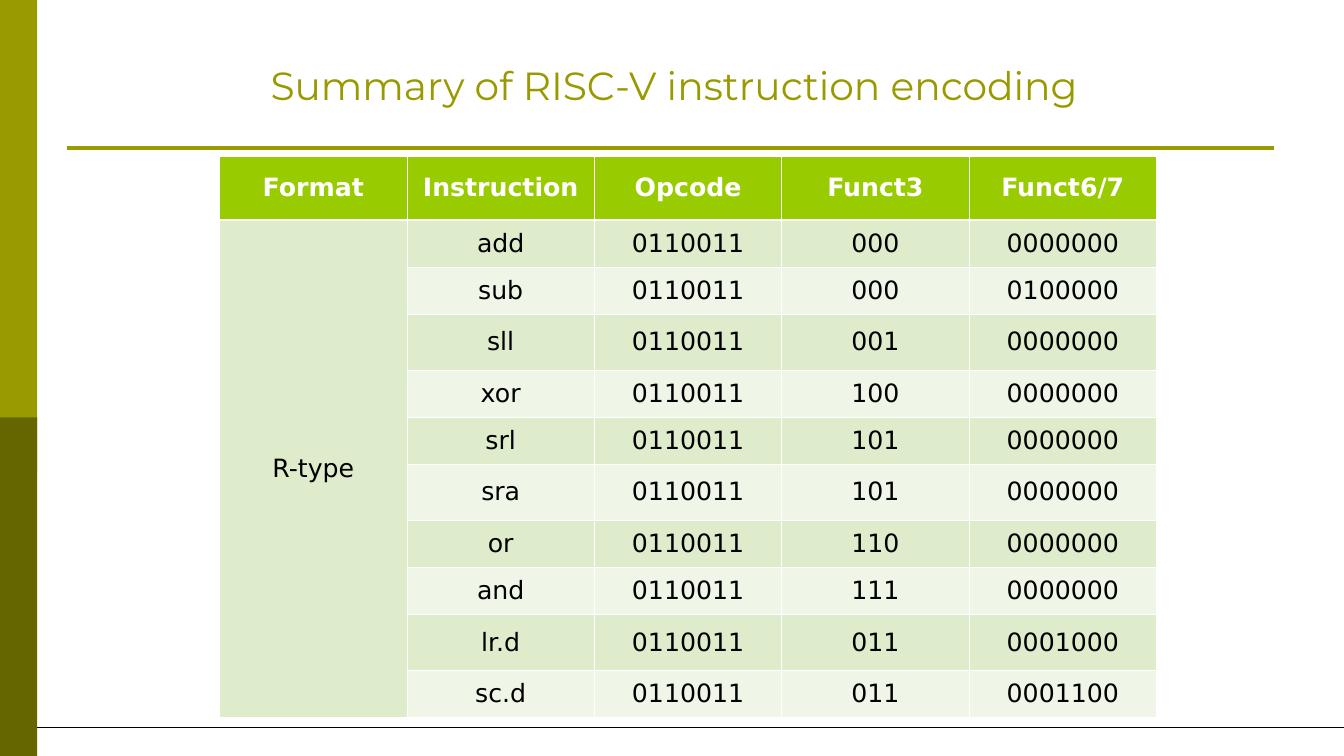
from lxml import etree
from pptx import Presentation
from pptx import util as u
from pptx.dml.color import RGBColor
from pptx.enum import shapes, text
from pptx.oxml import ns

# Content
TITLE = "Summary of RISC-V instruction encoding"
HEADINGS = ("Format", "Instruction", "Opcode", "Funct3", "Funct6/7")
FORMAT, OPCODE = "R-type", "0110011"
INSTRUCTIONS = [  # name, funct3, funct6/7
    ("add", "000", "0000000"),
    ("sub", "000", "0100000"),
    ("sll", "001", "0000000"),
    ("xor", "100", "0000000"),
    ("srl", "101", "0000000"),
    ("sra", "101", "0000000"),
    ("or", "110", "0000000"),
    ("and", "111", "0000000"),
    ("lr.d", "011", "0001000"),
    ("sc.d", "011", "0001100"),
]
COLORS = {"olive": "999900", "dark olive": "666600", "black": "000000",
          "white": "FFFFFF", "header": "99CC00", "odd": "DEECCB", "even": "EFF6E7"}

# Layout in inches
WIDTH, HEIGHT = 13.34, 7.5
BAR_WIDTH = 0.37
TABLE_LEFT, TABLE_TOP, COLUMN = 2.18, 1.55, 1.86
HEADER_ROW, ROW, TALL_ROW = 0.63, 0.47, 0.55  # every third instruction is tall
THIN, THICK = 0.45, 1.47  # cell borders in points


def color(name):
    return RGBColor.from_string(COLORS[name])


def add_bar(page, top, height, fill):
    bar = page.shapes.add_shape(shapes.MSO_SHAPE.RECTANGLE, 0, u.Inches(top),
                                u.Inches(BAR_WIDTH), u.Inches(height))
    bar.shadow.inherit = False
    bar.fill.solid()
    bar.fill.fore_color.rgb = color(fill)
    bar.line.fill.background()


def add_rule(page, left, right, y, line_color, points):
    rule = page.shapes.add_connector(shapes.MSO_CONNECTOR.STRAIGHT, u.Inches(left),
                                     u.Inches(y), u.Inches(right), u.Inches(y))
    rule.line.color.rgb = color(line_color)
    rule.line.width = u.Pt(points)
    etree.SubElement(rule._element.spPr, ns.qn("a:effectLst"))


def format_text(para, font_name, size, font_color, bold=False):
    para.alignment = text.PP_ALIGN.CENTER
    for span in para.runs:
        span.font.name = font_name
        span.font.size = u.Pt(size)
        span.font.bold = bold
        span.font.color.rgb = color(font_color)


def set_borders(cell, row):
    widths = {"L": THIN, "R": THIN, "T": THICK if row == 1 else THIN,
              "B": THICK if row == 0 else THIN}
    properties = cell._tc.get_or_add_tcPr()
    for place, (side, points) in enumerate(widths.items()):
        border = etree.Element(ns.qn("a:ln" + side), w=str(u.Pt(points)))
        fill = etree.SubElement(border, ns.qn("a:solidFill"))
        etree.SubElement(fill, ns.qn("a:srgbClr"), val=COLORS["white"])
        properties.insert(place, border)


def add_encoding_table(page):
    rows = [HEADINGS] + [("", name, OPCODE, funct3, funct7)
                         for name, funct3, funct7 in INSTRUCTIONS]
    rows[1] = (FORMAT,) + rows[1][1:]
    heights = [HEADER_ROW] + [TALL_ROW if number % 3 == 0 else ROW
                              for number in range(1, len(rows))]
    table = page.shapes.add_table(
        len(rows), len(HEADINGS), u.Inches(TABLE_LEFT), u.Inches(TABLE_TOP),
        u.Inches(COLUMN * len(HEADINGS)), u.Inches(sum(heights))).table
    for column in table.columns:
        column.width = u.Inches(COLUMN)
    for row, (values, height) in enumerate(zip(rows, heights)):
        table.rows[row].height = u.Inches(height)
        fill = "header" if row == 0 else "odd" if row % 2 else "even"
        for column, value in enumerate(values):
            cell = table.cell(row, column)
            cell.text = value
            cell.vertical_anchor = text.MSO_ANCHOR.MIDDLE
            cell.fill.solid()
            cell.fill.fore_color.rgb = color("odd" if row and column == 0 else fill)
            set_borders(cell, row)
            format_text(cell.text_frame.paragraphs[0], "DejaVu Sans", 18,
                        "black" if row else "white", bold=row == 0)
    table.cell(1, 0).merge(table.cell(len(rows) - 1, 0))


def main():
    deck = Presentation()
    deck.slide_width, deck.slide_height = u.Inches(WIDTH), u.Inches(HEIGHT)
    page = deck.slides.add_slide(deck.slide_layouts[5])

    # Side bars and rules
    add_bar(page, 0, 4.69, "olive")
    add_bar(page, 4.14, 3.36, "dark olive")
    add_rule(page, 0.67, 12.65, 1.47, "olive", 3)
    add_rule(page, BAR_WIDTH, WIDTH, 7.22, "black", 0.75)

    # Title
    title = page.shapes.title
    title.left, title.top = u.Inches(2.02), u.Inches(0.52)
    title.width, title.height = u.Inches(9.34), u.Inches(0.61)
    title.text_frame.text = TITLE
    title.text_frame.vertical_anchor = text.MSO_ANCHOR.BOTTOM
    format_text(title.text_frame.paragraphs[0], "Montserrat", 28, "olive")

    add_encoding_table(page)
    deck.save("out.pptx")


if __name__ == "__main__":
    main()
